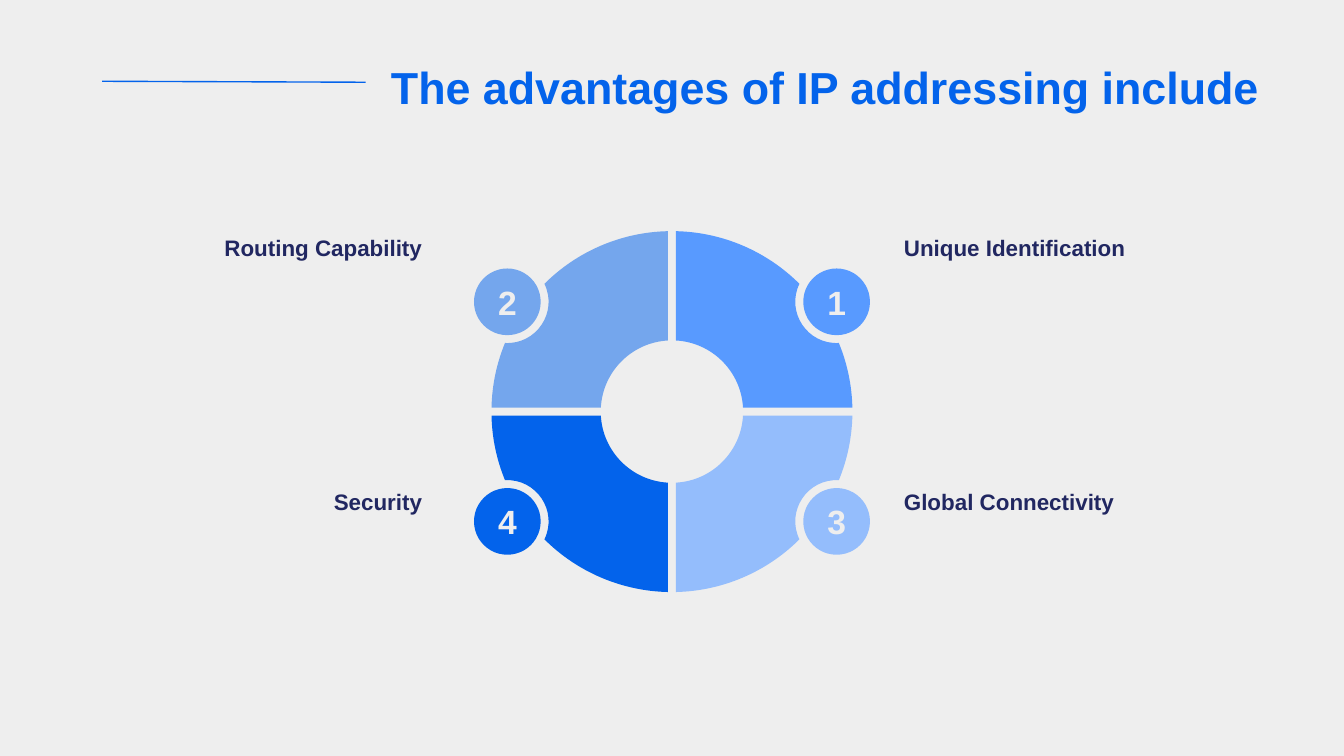
import math

from lxml import etree
from pptx import Presentation
from pptx.dml.color import RGBColor
from pptx.enum import shapes, text
from pptx.oxml import ns
from pptx.util import Inches, Pt

COLS, ROWS = 100, 56.25
BLUE, NAVY, PALE = "0363EB", "212761", "EEEEEE"
MID = (50, 30.63)
GAP, OUTER, INNER = 0.3, 13.43, 5.3
SPOT, NOTCH, DOT = (12.25, 8.17), 3.07, 2.48
BENDS = (0, 3, 6, 10)
PARTS = [
    ("4", "Security", BLUE, -1, 1),
    ("3", "Global Connectivity", "94BDFC", 1, 1),
    ("1", "Unique Identification", "589AFF", 1, -1),
    ("2", "Routing Capability", "74A6ED", -1, -1),
]


def cell(n):
    return Inches(n / 10)


def tint(code):
    return RGBColor.from_string(code)


def write(frame, words, size=12, font="Arial", color=NAVY, align="LEFT",
          anchor="TOP", wrap=True, lead=None, after=None, rtl=False):
    frame.word_wrap = wrap
    frame.vertical_anchor = getattr(text.MSO_ANCHOR, anchor)
    para = frame.paragraphs[0]
    para.alignment = getattr(text.PP_ALIGN, align)
    if lead:
        para.line_spacing = lead
    if after:
        para.space_after = Pt(after)
    run = para.add_run()
    run.text = words
    run.font.size, run.font.name, run.font.bold = Pt(size), font, True
    run.font.color.rgb = tint(color)
    if rtl:
        para._p.get_or_add_pPr().set("rtl", "1")
        etree.SubElement(run._r.rPr, ns.qn("a:cs")).set("typeface", "Arial")


def arc(mid, rad, start, end):
    pull = 4 / 3 * math.tan((end - start) / 4)

    def at(turn, lean):
        cos, sin = math.cos(turn), math.sin(turn)
        return mid[0] + rad * (cos - lean * sin), mid[1] + rad * (sin + lean * cos)

    return [at(start, 0), at(start, pull), at(end, -pull), at(end, 0)]


def sector():
    dist, base = math.hypot(*SPOT), math.atan2(SPOT[1], SPOT[0])
    cut = math.acos((dist**2 + OUTER**2 - NOTCH**2) / (2 * dist * OUTER))
    bite = math.acos((dist**2 + NOTCH**2 - OUTER**2) / (2 * dist * NOTCH))
    rim, hub = math.asin(GAP / OUTER), math.asin(GAP / INNER)
    back = base + math.pi
    return (arc((0, 0), OUTER, rim, base - cut)
            + arc(SPOT, NOTCH, back + bite, back - bite)[1:]
            + arc((0, 0), OUTER, base + cut, math.pi / 2 - rim)[1:]
            + arc((0, 0), INNER, math.pi / 2 - hub, hub))


class Deck:
    def __init__(self):
        self.show = Presentation()
        self.show.slide_width, self.show.slide_height = cell(COLS), cell(ROWS)
        self.page = self.show.slides.add_slide(self.show.slide_layouts[6])
        self.page.background.fill.solid()
        self.page.background.fill.fore_color.rgb = tint(PALE)

    def group(self):
        return self.page.shapes.add_group_shape().shapes

    def paint(self, shape, color):
        shape.shadow.inherit = False
        shape.fill.solid()
        shape.fill.fore_color.rgb = tint(color)
        shape.line.fill.background()

    def wedge(self, home, points, color):
        spots = [(cell(x), cell(y)) for x, y in points]
        draft = home.build_freeform(*spots[0])
        draft.add_line_segments(spots[1:], close=True)
        shape = draft.convert_to_shape()
        legs = shape._element.xpath(".//a:lnTo")
        for i in BENDS:
            curve = etree.Element(ns.qn("a:cubicBezTo"))
            legs[i].addprevious(curve)
            for leg in legs[i:i + 3]:
                curve.append(leg[0])
                leg.getparent().remove(leg)
        self.paint(shape, color)

    def badge(self, home, x, y, words, color):
        oval = home.add_shape(
            shapes.MSO_SHAPE.OVAL, cell(x - DOT), cell(y - DOT), cell(2 * DOT), cell(2 * DOT))
        self.paint(oval, color)
        write(oval.text_frame, words, size=18, font="Lato", color=PALE,
              align="CENTER", anchor="MIDDLE", rtl=True)

    def label(self, x, y, wide, high, words, **style):
        box = self.page.shapes.add_textbox(cell(x), cell(y), cell(wide), cell(high))
        write(box.text_frame, words, **style)

    def rule(self, x1, y1, x2, y2, color):
        line = self.page.shapes.add_connector(
            shapes.MSO_CONNECTOR.STRAIGHT, cell(x1), cell(y1), cell(x2), cell(y2))
        line.line.color.rgb, line.line.width = tint(color), Pt(0.75)
        etree.SubElement(line._element.spPr, ns.qn("a:effectLst"))


def main():
    deck = Deck()
    base = sector()
    for num, _, color, dx, dy in PARTS:
        home = deck.group()
        deck.wedge(home, [(MID[0] + dx * x, MID[1] + dy * y) for x, y in base], color)
        deck.badge(home, MID[0] + dx * SPOT[0], MID[1] + dy * SPOT[1], num, color)
    for _, name, _, dx, dy in PARTS:
        deck.label(66.27 if dx > 0 else 8.6, 35.2 if dy > 0 else 16.3, 23.8, 3.5, name,
                   align="LEFT" if dx > 0 else "RIGHT", lead=1.3, after=18)
    deck.rule(7.6, 6.05, 27.2, 6.12, BLUE)
    deck.label(24.9, 3.94, 69.75, 5, "The advantages of IP addressing include",
               size=24, color=BLUE, align="RIGHT")
    deck.show.save("out.pptx")


if __name__ == "__main__":
    main()
